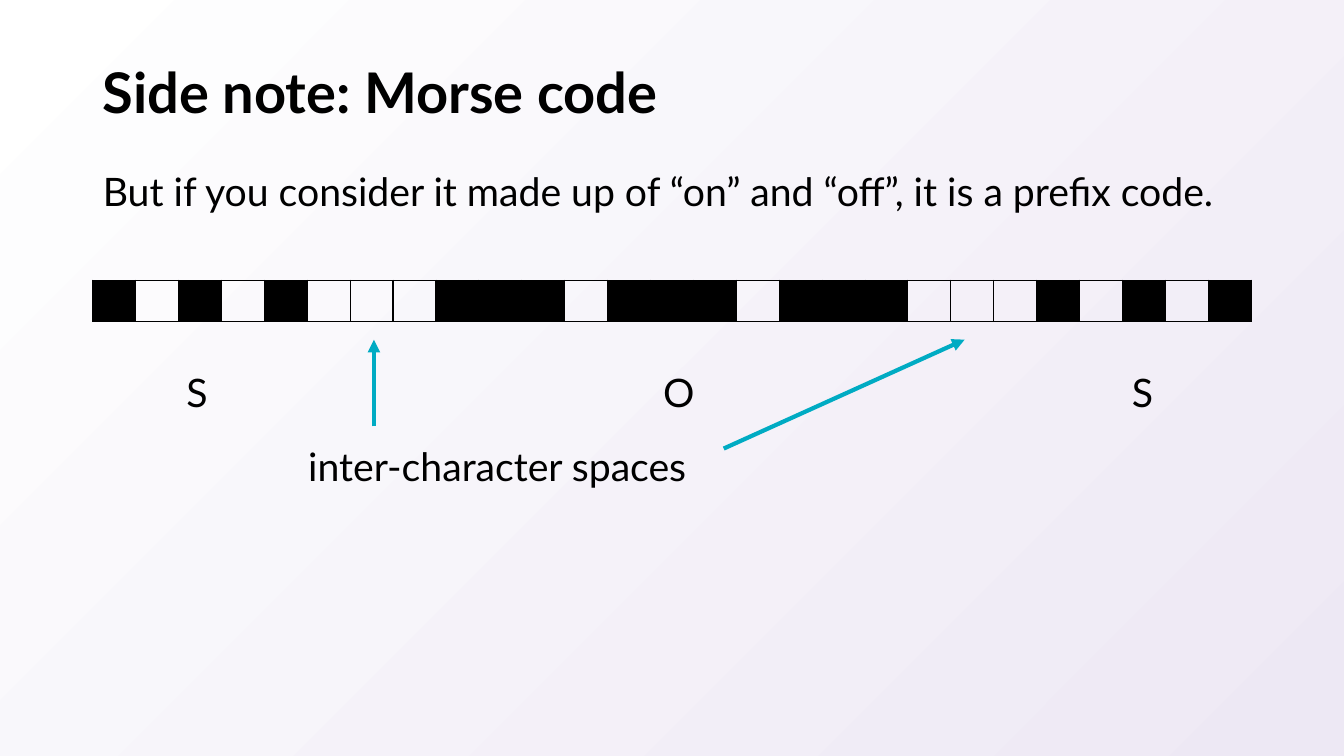
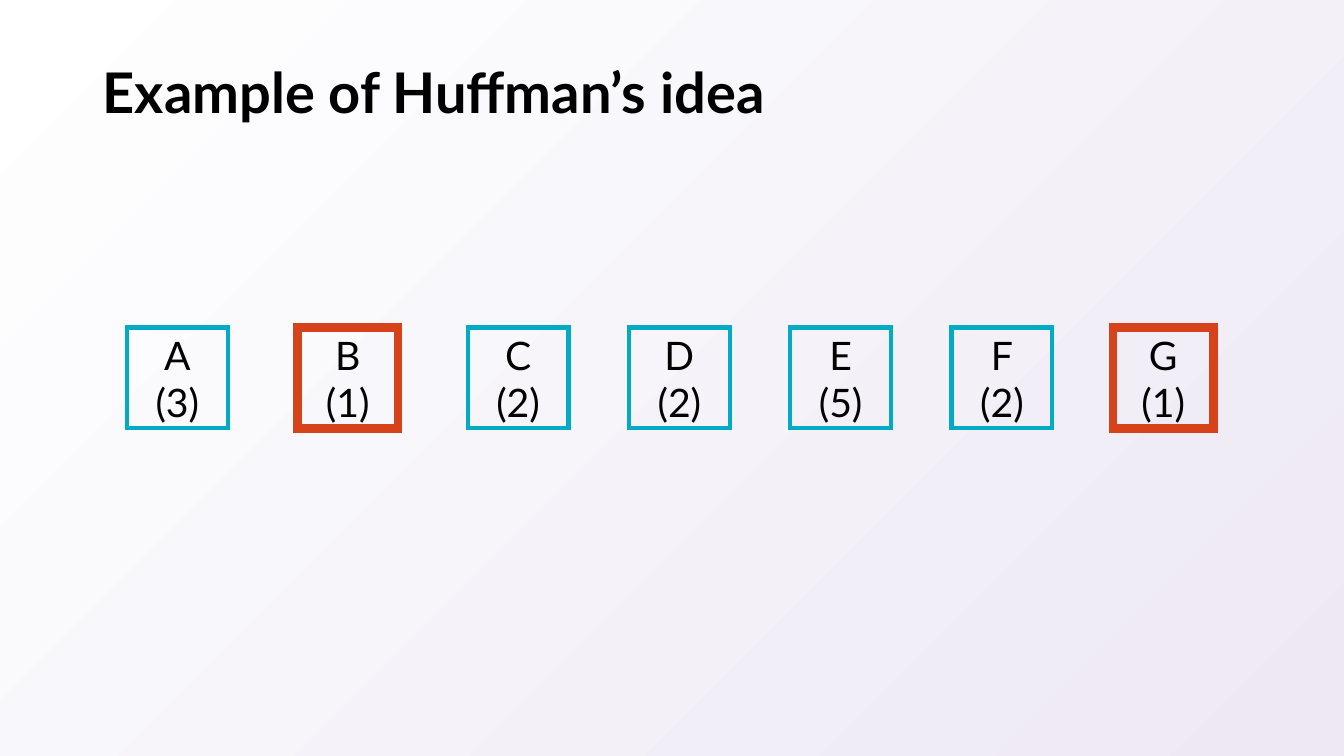
from lxml import etree
from pptx import Presentation
from pptx import util as u
from pptx.dml.color import RGBColor
from pptx.enum import shapes, text
from pptx.oxml import parse_xml
from pptx.oxml.ns import nsdecls, qn

FONT = "Lato"
BLACK, TEAL, RED = "000000", "00ABC3", "D6431A"
BACKGROUND = ("FFFFFF", "EDE8F4")
SLIDE_SIZE = (40 / 3, 7.5)
TITLE_BOX = (0.92, 0.4, 11.5, 1.09)
BODY_BOX = (0.92, 1.49, 11.65, 0.85)
TITLE_STYLE = {"size": 40, "bold": True, "line_spacing": 0.9}
BODY_STYLE = {"size": 28, "line_spacing": 1.25}
BOX_STYLE = {"size": 28, "align": text.PP_ALIGN.CENTER}

MORSE_TITLE = "Side note: Morse code"
MORSE_BODY = "But if you consider it made up of “on” and “off”, it is a prefix code."
MORSE_LETTERS = ("...", "---", "...")
SIGNAL_BOX = (0.92, 2.78, 11.5, 0.41)
SIGNAL_LABELS = [
    ("S", (1.75, 3.49, 0.41, 0.63)),
    ("O", (6.48, 3.49, 0.52, 0.63)),
    ("S", (11.13, 3.49, 0.41, 0.63)),
    ("inter-character spaces", (2.96, 4.22, 4.04, 0.63)),
]
SPACE_ARROWS = [(3.71, 4.23, 3.71, 3.37), (7.18, 4.45, 9.57, 3.37)]

HUFFMAN_TITLE = "Example of Huffman’s idea"
FREQUENCIES = {"A": 3, "B": 1, "C": 2, "D": 2, "E": 5, "F": 2, "G": 1}


def color(value):
    return RGBColor.from_string(value)


def inches(values):
    return [u.Inches(value) for value in values]


def place(shape, box):
    for side, value in zip(("left", "top", "width", "height"), inches(box)):
        setattr(shape, side, value)


def write(frame, lines, size, bold=False, align=text.PP_ALIGN.LEFT, line_spacing=1.0):
    frame.text = "\n".join(lines)
    for paragraph in frame.paragraphs:
        layout = {"alignment": align, "line_spacing": line_spacing, "space_before": u.Pt(0)}
        for key, value in layout.items():
            setattr(paragraph, key, value)
        for run in paragraph.runs:
            for key, value in {"name": FONT, "size": u.Pt(size), "bold": bold}.items():
                setattr(run.font, key, value)
            run.font.color.rgb = color(BLACK)


def style_master(master):
    fill = master.background.fill
    fill.gradient()
    fill.gradient_angle = 315
    for stop, value in zip(fill.gradient_stops, BACKGROUND):
        stop.color.rgb = color(value)
    place(master.placeholders[0], TITLE_BOX)


def add_slide(deck, layout, title):
    slide = deck.slides.add_slide(deck.slide_layouts.get_by_name(layout))
    frame = slide.shapes.title.text_frame
    write(frame, [title], **TITLE_STYLE)
    frame.auto_size = text.MSO_AUTO_SIZE.NONE
    frame.vertical_anchor = text.MSO_ANCHOR.MIDDLE
    return slide


def add_body(slide, sentence):
    body = slide.placeholders[1]
    place(body, BODY_BOX)
    write(body.text_frame, [sentence], **BODY_STYLE)
    body.text_frame.auto_size = text.MSO_AUTO_SIZE.NONE
    properties = body.text_frame.paragraphs[0]._p.get_or_add_pPr()
    for key in ("marL", "indent"):
        properties.set(key, "0")
    etree.SubElement(properties, qn("a:buNone"))


def morse_signal(letters):
    units = {".": "1", "-": "111"}
    return "000".join("0".join(units[mark] for mark in letter) for letter in letters)


def add_signal(slide, signal):
    table = slide.shapes.add_table(1, len(signal), *inches(SIGNAL_BOX)).table
    table.first_row = table.horz_banding = False
    for column, cell, state in zip(table.columns, table.rows[0].cells, signal):
        column.width = u.Inches(SIGNAL_BOX[2] / len(signal))
        properties = cell._tc.get_or_add_tcPr()
        for edge in ("lnL", "lnR", "lnT", "lnB"):
            properties.append(parse_xml(
                f'<a:{edge} {nsdecls("a")} w="{u.Pt(1)}"><a:solidFill>'
                f'<a:srgbClr val="{BLACK}"/></a:solidFill></a:{edge}>'))
        if state == "1":
            cell.fill.solid()
            cell.fill.fore_color.rgb = color(BLACK)
        else:
            cell.fill.background()


def add_label(slide, label, box):
    frame = slide.shapes.add_textbox(*inches(box)).text_frame
    write(frame, [label], **BODY_STYLE)
    frame.word_wrap = False
    frame.auto_size = text.MSO_AUTO_SIZE.SHAPE_TO_FIT_TEXT


def draw_line(line, value, width, ending, **attributes):
    line.color.rgb = color(value)
    line.width = u.Pt(width)
    etree.SubElement(line._get_or_add_ln(), qn(ending), **attributes)


def add_arrow(slide, ends):
    arrow = slide.shapes.add_connector(shapes.MSO_CONNECTOR.STRAIGHT, *inches(ends))
    draw_line(arrow.line, TEAL, 3, "a:tailEnd", type="triangle")
    etree.SubElement(arrow._element.spPr, qn("a:effectLst"))


def add_symbol(slide, position, symbol, count, rarest):
    left = 1.26 + 1.6 * position + 0.09 * min(position, 2)
    box = slide.shapes.add_shape(shapes.MSO_SHAPE.RECTANGLE, *inches((left, 3.25, 1, 1)))
    box.shadow.inherit = False
    box.fill.background()
    outline = (RED, 6) if count == rarest else (TEAL, 3)
    draw_line(box.line, *outline, "a:miter", lim="800000")
    write(box.text_frame, [symbol, f"({count})"], **BOX_STYLE)
    box.text_frame.vertical_anchor = text.MSO_ANCHOR.MIDDLE


def main():
    deck = Presentation()
    deck.slide_width, deck.slide_height = inches(SLIDE_SIZE)
    style_master(deck.slide_master)

    morse = add_slide(deck, "Title and Content", MORSE_TITLE)
    add_body(morse, MORSE_BODY)
    add_signal(morse, morse_signal(MORSE_LETTERS))
    for label, box in SIGNAL_LABELS:
        add_label(morse, label, box)
    for ends in SPACE_ARROWS:
        add_arrow(morse, ends)

    huffman = add_slide(deck, "Title Only", HUFFMAN_TITLE)
    rarest = min(FREQUENCIES.values())
    for position, (symbol, count) in enumerate(FREQUENCIES.items()):
        add_symbol(huffman, position, symbol, count, rarest)

    deck.save("out.pptx")


if __name__ == "__main__":
    main()
